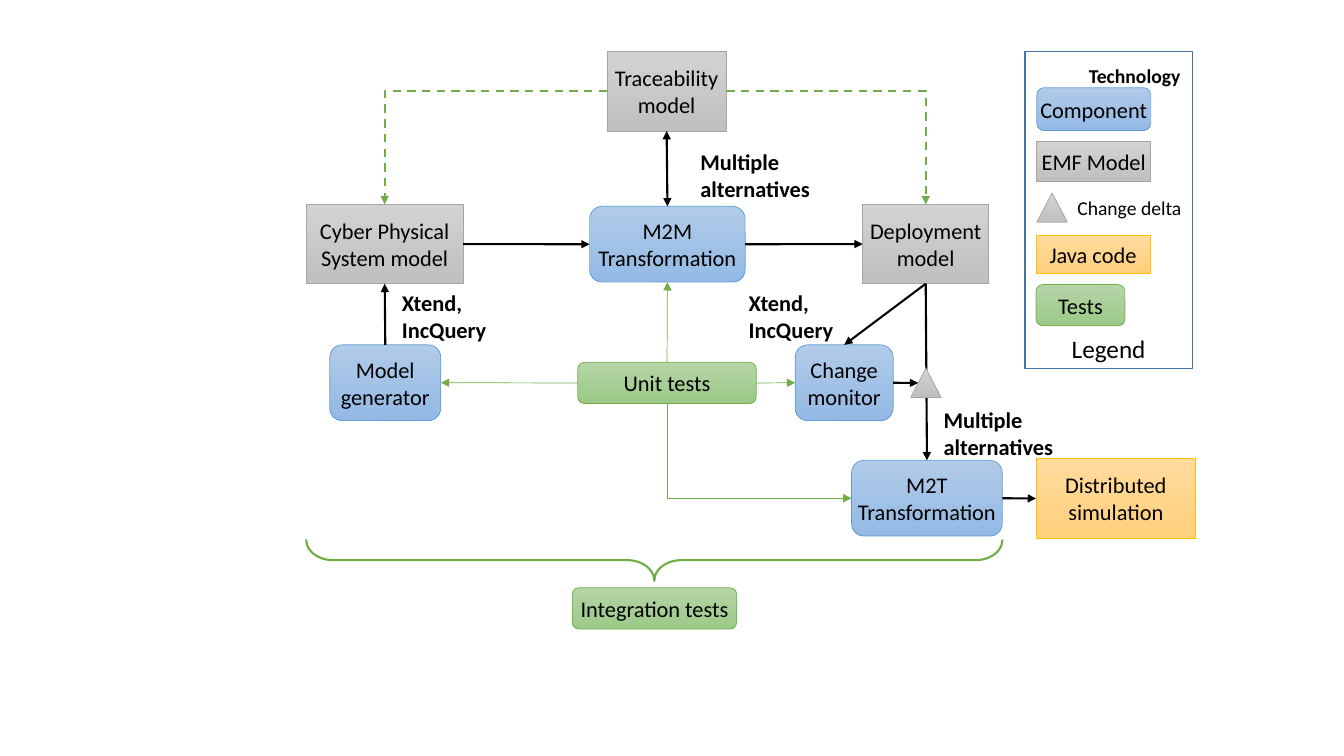
from lxml import etree
from pptx import Presentation
from pptx.dml.color import RGBColor
from pptx.enum.dml import MSO_LINE
from pptx.enum.shapes import MSO_CONNECTOR as LINK, MSO_SHAPE as SHAPE
from pptx.enum.text import MSO_ANCHOR as ANCHOR, PP_ALIGN as ALIGN
from pptx.oxml.ns import qn
from pptx.util import Cm, Pt

COLORS = {"black": "000000", "green": "70AD47", "frame": "43739E"}
# style: preset shape, gradient top, gradient bottom, outline
STYLES = {
    "component": (SHAPE.ROUNDED_RECTANGLE, "B1CBE9", "93B9E4", "5B9BD5"),
    "model": (SHAPE.RECTANGLE, "D2D2D2", "C0C0C0", "A5A5A5"),
    "delta": (SHAPE.ISOSCELES_TRIANGLE, "D2D2D2", "C0C0C0", "A5A5A5"),
    "code": (SHAPE.RECTANGLE, "FFDB9E", "FFD07C", "FFC000"),
    "tests": (SHAPE.ROUNDED_RECTANGLE, "B5D5A7", "9CC987", "70AD47"),
}
TOP, LEFT, BOTTOM, RIGHT = range(4)  # connection sites

prs = Presentation()
prs.slide_width, prs.slide_height = Cm(33.87), Cm(19.05)
slide = prs.slides.add_slide(prs.slide_layouts[6])
shapes = slide.shapes


def write(s, text, size, bold=False, align=ALIGN.LEFT):
    """Put black Calibri text into a shape, one paragraph per line."""
    s.text_frame.text = text
    for p in s.text_frame.paragraphs:
        p.alignment = align
        p.font.name, p.font.size, p.font.bold = "Calibri", Pt(size), bold
        p.font.color.rgb = RGBColor.from_string(COLORS["black"])


def connect(start, start_site, end, end_site, color, width, ends=("tailEnd",), bent=False):
    """Glue a connector between two nodes and give it arrowheads."""
    c = shapes.add_connector(LINK.ELBOW if bent else LINK.STRAIGHT, 0, 0, 0, 0)
    c.begin_connect(nodes[start], start_site)
    c.end_connect(nodes[end], end_site)
    c.line.color.rgb = RGBColor.from_string(COLORS[color])
    c.line.width = Pt(width)
    sp_pr = c._element.spPr
    if bent:
        sp_pr.find(qn("a:prstGeom")).set("prst", "bentConnector2")
    for end_tag in ends:
        etree.SubElement(c.line._get_or_add_ln(), qn(f"a:{end_tag}"), type="triangle")
    etree.SubElement(sp_pr, qn("a:effectLst"))
    return c


# Legend frame
legend = shapes.add_shape(SHAPE.RECTANGLE, Cm(25.83), Cm(1.3), Cm(4.22), Cm(7.98))
legend.shadow.inherit = False
legend.fill.background()
legend.line.color.rgb = RGBColor.from_string(COLORS["frame"])
legend.line.width = Pt(1)
legend.text_frame.vertical_anchor = ANCHOR.BOTTOM
write(legend, "Legend", 18, align=ALIGN.CENTER)

# Nodes of the diagram and the legend: key, style, text, left, top, width, height
nodes = {}
for key, style, text, *box in [
    ("m2m", "component", "M2M Transformation", 14.86, 5.2, 3.92, 1.91),
    ("m2t", "component", "M2T Transformation", 21.46, 11.6, 3.8, 1.91),
    ("cps", "model", "Cyber Physical System model", 7.72, 5.15, 3.95, 2),
    ("deployment", "model", "Deployment model", 21.74, 5.15, 3.18, 2),
    ("simulation", "code", "Distributed simulation", 26.11, 11.56, 4.02, 2),
    ("trace", "model", "Traceability model", 15.3, 1.3, 3, 2),
    ("generator", "component", "Model generator", 8.31, 8.69, 2.8, 1.91),
    ("monitor", "component", "Change monitor", 20.04, 8.69, 2.47, 1.91),
    ("unit", "tests", "Unit tests", 14.56, 9.13, 4.5, 1.04),
    ("integration", "tests", "Integration tests", 14.42, 14.81, 4.15, 1.04),
    ("legend component", "component", "Component", 26.13, 2.21, 2.87, 1.08),
    ("legend model", "model", "EMF Model", 26.13, 3.57, 2.87, 1.01),
    ("legend delta", "delta", "", 26.13, 4.86, 0.77, 0.74),
    ("legend code", "code", "Java code", 26.11, 5.94, 2.87, 0.96),
    ("legend tests", "tests", "Tests", 26.11, 7.17, 2.24, 1.04),
    ("delta", "delta", "", 22.95, 9.28, 0.77, 0.74),
]:
    preset, top_color, bottom_color, outline = STYLES[style]
    s = shapes.add_shape(preset, *map(Cm, box))
    s.shadow.inherit = False
    s.fill.gradient()
    s.fill.gradient_angle = 270
    for stop, color in zip(s.fill.gradient_stops, (top_color, bottom_color)):
        stop.color.rgb = RGBColor.from_string(color)
    s.line.color.rgb = RGBColor.from_string(outline)
    s.line.width = Pt(0.5)
    if text:
        tf = s.text_frame
        tf.margin_left = tf.margin_right = 0
        tf.word_wrap, tf.vertical_anchor = True, ANCHOR.MIDDLE
        write(s, text, 16, align=ALIGN.CENTER)
    nodes[key] = s

# Data flow
for flow in [
    ("cps", RIGHT, "m2m", LEFT),
    ("m2m", RIGHT, "deployment", LEFT),
    ("deployment", BOTTOM, "m2t", TOP),
    ("m2t", RIGHT, "simulation", LEFT),
    ("generator", TOP, "cps", BOTTOM),
    ("deployment", BOTTOM, "monitor", TOP),
]:
    connect(*flow, "black", 1.5)
connect("m2m", TOP, "trace", BOTTOM, "black", 1.5, ("headEnd", "tailEnd"))
change = connect("monitor", RIGHT, "delta", LEFT, "black", 1.5)
change.end_x = Cm(23.14)  # sloping side of the triangle
shapes._spTree.append(nodes["delta"]._element)  # the triangle covers the flow line

# Traceability links
for site, model in [(RIGHT, "deployment"), (LEFT, "cps")]:
    c = connect("trace", site, model, TOP, "green", 1.5, bent=True)
    c.line.dash_style = MSO_LINE.DASH

# Unit test links
for site, target, target_site in [
    (LEFT, "generator", RIGHT), (TOP, "m2m", BOTTOM), (RIGHT, "monitor", LEFT),
]:
    connect("unit", site, target, target_site, "green", 0.5)
connect("m2t", LEFT, "unit", BOTTOM, "green", 0.5, ("headEnd",), bent=True)

# Brace over the integration tests
brace = shapes.add_shape(SHAPE.LEFT_BRACE, Cm(15.97), Cm(5.34), Cm(1.04), Cm(17.55))
brace.rotation = 270
brace.adjustments[0], brace.adjustments[1] = 0.65, 0.5
brace.shadow.inherit = False
brace.fill.background()
brace.line.color.rgb = RGBColor.from_string(COLORS["green"])
brace.line.width = Pt(1.5)

# Labels: text, size, bold, left, top, width, height
alternatives, languages = "Multiple\nalternatives", "Xtend,\nIncQuery"
for text, size, bold, *box in [
    (alternatives, 16, True, 17.4, 3.61, 3.3, 1.63),
    (alternatives, 16, True, 23.53, 10.11, 3.3, 1.63),
    (languages, 16, True, 9.88, 7.17, 2.67, 1.63),
    (languages, 16, True, 18.62, 7.17, 2.67, 1.63),
    ("Technology", 14, True, 27.19, 1.48, 2.84, 0.86),
    ("Change delta", 14, False, 26.9, 4.8, 3.18, 0.86),
]:
    label = shapes.add_textbox(*map(Cm, box))
    label.text_frame.word_wrap = False
    write(label, text, size, bold)

prs.save("out.pptx")
